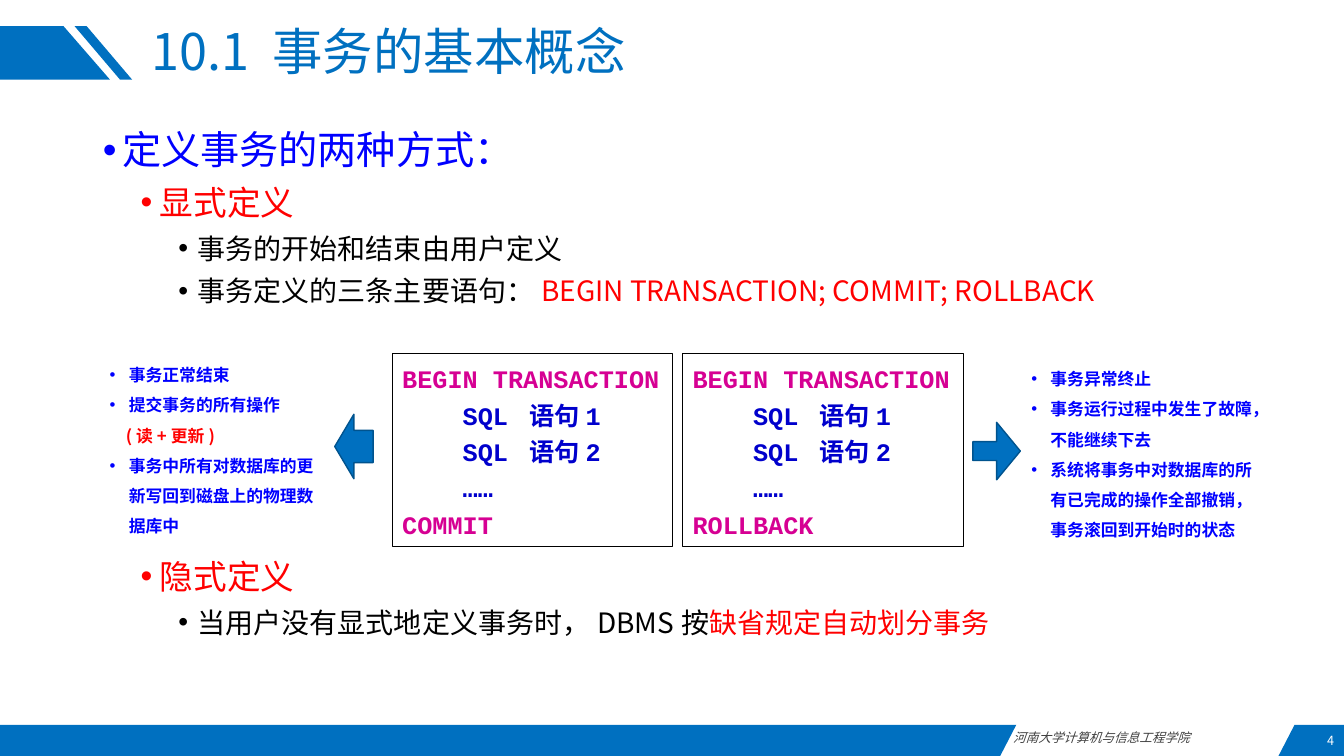
import pptx
import pptx.dml.color
import pptx.enum.shapes
import pptx.enum.text
import pptx.util
from lxml import etree
from pptx.oxml.ns import qn

Inches, Pt = pptx.util.Inches, pptx.util.Pt
SHAPE = pptx.enum.shapes.MSO_SHAPE
ALIGN = pptx.enum.text.PP_ALIGN
ANCHOR = pptx.enum.text.MSO_ANCHOR

COLORS = {
    "theme": "0070C0", "arrow_line": "00538E", "blue": "0000FF", "red": "FF0000",
    "black": "000000", "white": "FFFFFF", "grey": "404040",
    "keyword": "D60093", "code": "0000CC",
}
SANS, MONO = "Noto Sans CJK SC", "Courier New"
HANG = 0.19


def rgb(name):
    return pptx.dml.color.RGBColor.from_string(COLORS[name])


def place(sp, box):
    sp.left, sp.top, sp.width, sp.height = map(Inches, box)


def add_run(p, text, size, color, font=SANS, bold=False, italic=False):
    r = p.add_run()
    r.text = text
    r.font.size, r.font.name = Pt(size), font
    r.font.bold, r.font.italic = bold, italic
    r.font.color.rgb = rgb(color)
    etree.SubElement(r._r.get_or_add_rPr(), qn("a:ea"), typeface=SANS)


def set_indent(p, left, bullet=True):
    """Set the left margin in inches, with a hanging bullet if wanted."""
    pPr = p._p.get_or_add_pPr()
    pPr.set("marL", str(Inches(left)))
    pPr.set("indent", str(Inches(-HANG if bullet else 0)))
    if bullet:
        etree.SubElement(pPr, qn("a:buFont"), typeface="Arial")
        etree.SubElement(pPr, qn("a:buChar"), char="•")
    else:
        etree.SubElement(pPr, qn("a:buNone"))


def paragraphs(tf, count):
    return [tf.paragraphs[0]] + [tf.add_paragraph() for _ in range(count - 1)]


def add_text_box(s, box, anchor=ANCHOR.TOP):
    tf = s.shapes.add_textbox(*map(Inches, box)).text_frame
    tf.word_wrap, tf.vertical_anchor = True, anchor
    return tf


def add_band(s, points):
    corners = [(Inches(x), Inches(y)) for x, y in points]
    builder = s.shapes.build_freeform(*corners[0])
    builder.add_line_segments(corners[1:], close=True)
    sp = builder.convert_to_shape()
    sp.shadow.inherit = False
    sp.fill.solid()
    sp.fill.fore_color.rgb = rgb("theme")
    sp.line.fill.background()


def add_header_marks(s, left, top, height):
    bottom = top + height
    add_band(s, [(left, top), (left + 0.63, top), (left + 1.09, bottom), (left, bottom)])
    add_band(s, [(left + 0.86, top), (left + 1.31, bottom),
                 (left + 1.19, bottom), (left + 0.74, top)])


def add_footer(s, top, right, bottom):
    add_band(s, [(0, top), (10.08, top), (9.92, bottom), (0, bottom)])
    add_band(s, [(12.84, top), (right, top), (right, bottom), (12.68, bottom)])
    p = add_text_box(s, (9.95, top, 2.73, 0.25)).paragraphs[0]
    add_run(p, "河南大学计算机与信息工程学院", 9, "grey", italic=True)
    p = add_text_box(s, (right - 1.39, top, 1.39, bottom - top), ANCHOR.MIDDLE).paragraphs[0]
    p.alignment = ALIGN.RIGHT
    add_run(p, "4", 9, "white")


def fill_title(sp, box, text):
    place(sp, box)
    tf = sp.text_frame
    tf.vertical_anchor = ANCHOR.MIDDLE
    tf.auto_size = pptx.enum.text.MSO_AUTO_SIZE.NONE
    p = tf.paragraphs[0]
    p.alignment, p.line_spacing = ALIGN.LEFT, 0.9
    add_run(p, text, 36, "theme")


def fill_body(sp, box, items):
    """Each item is (level, space before in points, runs)."""
    place(sp, box)
    tf = sp.text_frame
    tf.vertical_anchor = ANCHOR.TOP
    tf.auto_size = pptx.enum.text.MSO_AUTO_SIZE.NONE
    for p, (level, before, runs) in zip(paragraphs(tf, len(items)), items):
        p.level = level
        set_indent(p, HANG + 0.375 * level)
        p.line_spacing, p.space_before, p.space_after = 0.9, Pt(before), Pt(0)
        for text, color in runs:
            add_run(p, text, 28 - 4 * level, color)


def add_code_box(s, box, last_statement):
    sp = s.shapes.add_shape(SHAPE.RECTANGLE, *map(Inches, box))
    sp.shadow.inherit = False
    sp.fill.background()
    sp.line.color.rgb, sp.line.width = rgb("black"), Pt(0.25)
    tf = sp.text_frame
    tf.word_wrap, tf.vertical_anchor = True, ANCHOR.TOP
    lines = ["BEGIN TRANSACTION", "    SQL 语句1", "    SQL 语句2", "    ……", last_statement]
    for p, line in zip(paragraphs(tf, len(lines)), lines):
        p.alignment, p.line_spacing = ALIGN.LEFT, 1.2
        add_run(p, line, 18, "code" if line.startswith(" ") else "keyword", MONO, bold=True)


def add_outcome_notes(s, box, notes):
    """Each note is (text, colour, whether it has a bullet)."""
    tf = add_text_box(s, box)
    for p, (text, color, bullet) in zip(paragraphs(tf, len(notes)), notes):
        set_indent(p, HANG if bullet else 0.16, bullet)
        p.line_spacing = 1.5
        add_run(p, text, 12, color, bold=True)


def add_arrow(s, kind, box, shaft=0.5):
    sp = s.shapes.add_shape(kind, *map(Inches, box))
    sp.adjustments[0], sp.adjustments[1] = shaft, 0.5
    sp.shadow.inherit = False
    sp.fill.solid()
    sp.fill.fore_color.rgb = rgb("theme")
    sp.line.color.rgb, sp.line.width = rgb("arrow_line"), Pt(1)


def main():
    prs = pptx.Presentation()
    prs.slide_width, prs.slide_height = Inches(13.33), Inches(7.5)
    s = prs.slides.add_slide(prs.slide_layouts[1])

    add_header_marks(s, 0, 0.26, 0.53)
    add_footer(s, 7.19, 13.33, 7.5)
    fill_title(s.shapes.title, (1.4, 0.26, 10.45, 0.56), "10.1 事务的基本概念")
    fill_body(s.placeholders[1], (0.92, 1.25, 11.5, 5.72), [
        (0, 0, [("定义事务的两种方式：", "blue")]),
        (1, 9, [("显式定义", "red")]),
        (2, 9, [("事务的开始和结束由用户定义", "black")]),
        (2, 9, [("事务定义的三条主要语句：", "black"),
                ("BEGIN TRANSACTION; COMMIT; ROLLBACK", "red")]),
        (1, 180, [("隐式定义", "red")]),
        (2, 9, [("当用户没有显式地定义事务时，DBMS按", "black"),
                ("缺省规定自动划分事务", "red")]),
    ])

    for i, statement in enumerate(["COMMIT", "ROLLBACK"]):
        add_code_box(s, (3.89 + 2.88 * i, 3.5, 2.78, 1.92), statement)
    add_outcome_notes(s, (0.99, 3.47, 2.34, 1.92), [
        ("事务正常结束", "blue", True),
        ("提交事务的所有操作", "blue", True),
        ("(读+更新)", "red", False),
        ("事务中所有对数据库的更新写回到磁盘上的物理数据库中", "blue", True),
    ])
    add_outcome_notes(s, (10.13, 3.51, 2.42, 1.92), [
        ("事务异常终止", "blue", True),
        ("事务运行过程中发生了故障，不能继续下去", "blue", True),
        ("系统将事务中对数据库的所有已完成的操作全部撤销，事务滚回到开始时的状态", "blue", True),
    ])
    add_arrow(s, SHAPE.LEFT_ARROW, (3.32, 4.11, 0.38, 0.64))
    add_arrow(s, SHAPE.RIGHT_ARROW, (9.65, 4.19, 0.47, 0.57), shaft=0.33)
    prs.save("out.pptx")


if __name__ == "__main__":
    main()
